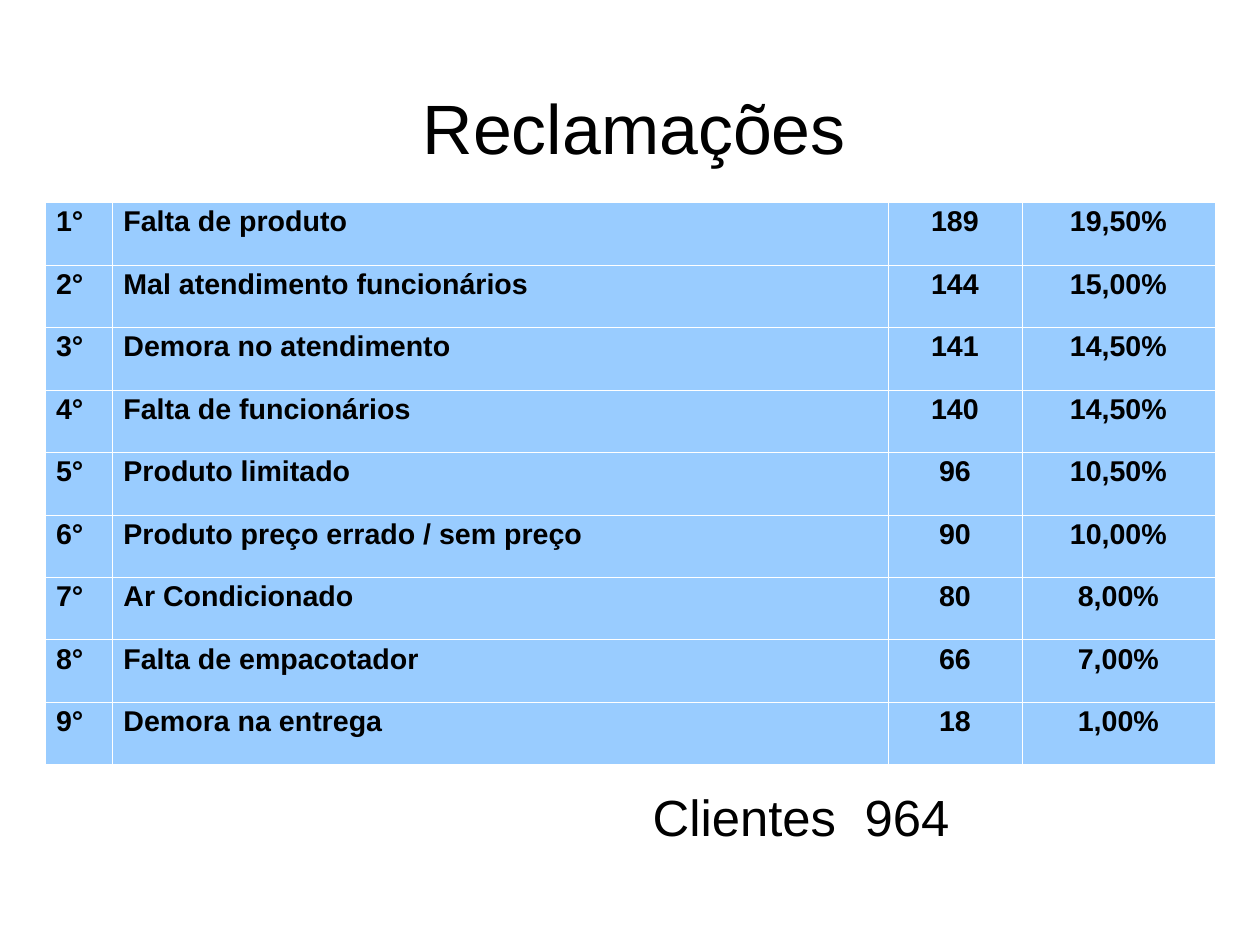
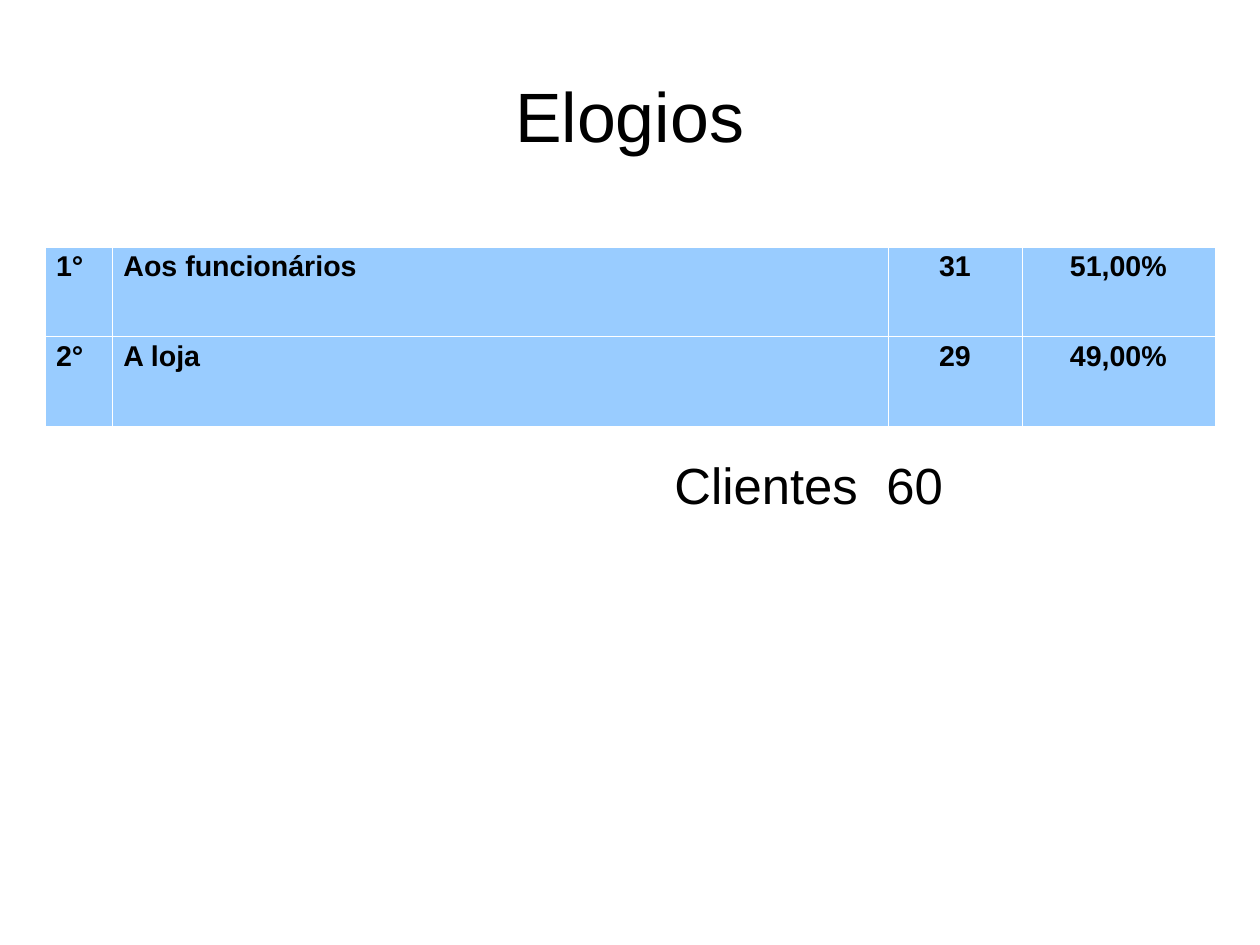
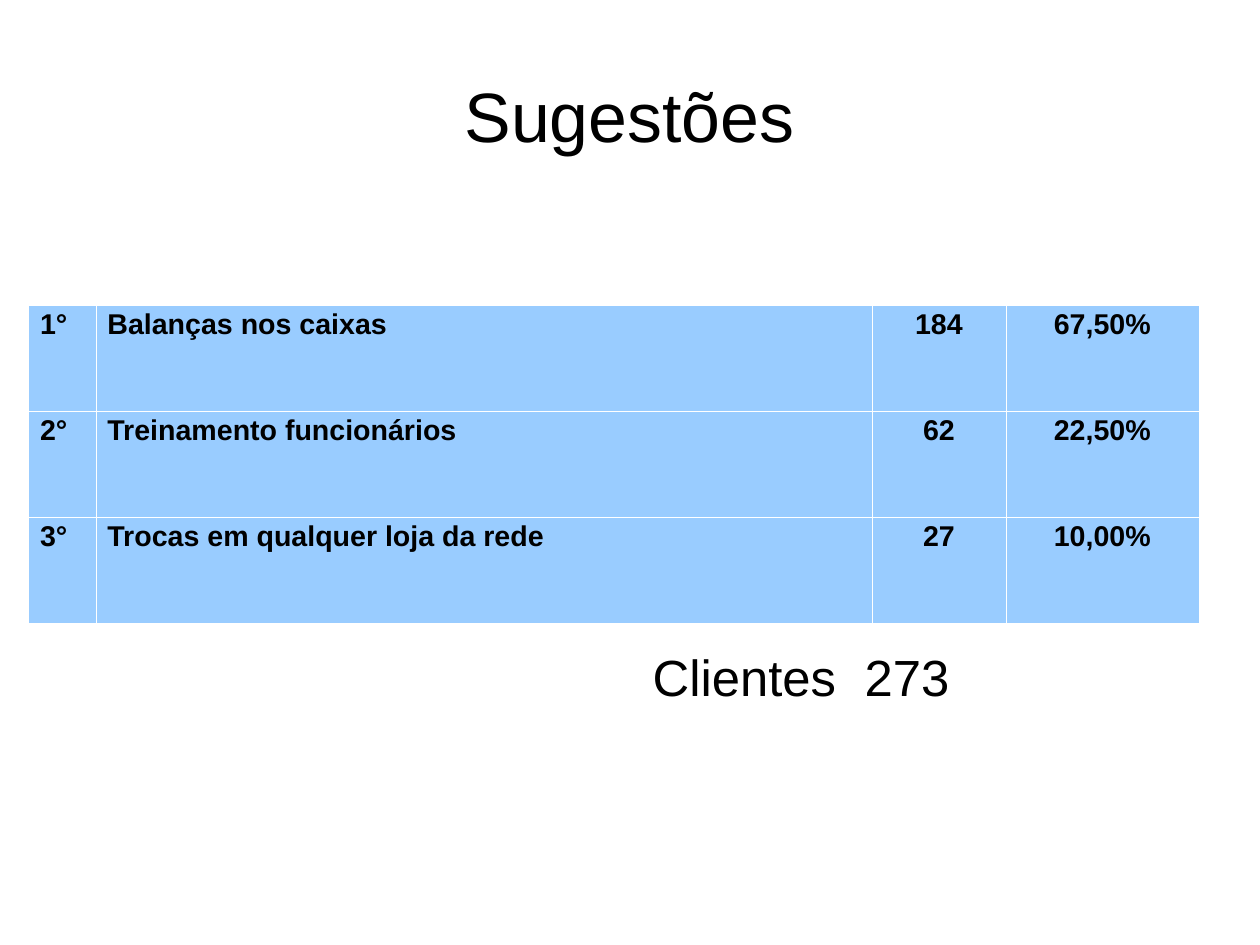
import pptx
import pptx.dml.color
import pptx.enum.text
import pptx.util
from lxml import etree

Inches = pptx.util.Inches
Pt = pptx.util.Pt
Align = pptx.enum.text.PP_ALIGN
Anchor = pptx.enum.text.MSO_ANCHOR

# Shared look
INK, CELL, RULE = "000000", "99CCFF", "FFFFFF"
COLUMNS = [0.59, 6.79, 1.17, 1.69]
ALIGNMENTS = [Align.LEFT, Align.LEFT, Align.CENTER, Align.CENTER]
TITLE_FONT = {"name": "Arial", "size": Pt(44), "bold": False}
CELL_FONT = {"name": "Arial", "size": Pt(18), "bold": True}
TOTAL_FONT = {"name": "Arial", "size": Pt(32), "bold": False}
TITLE_FRAME = {"margin_left": 0, "margin_top": Inches(0.04), "vertical_anchor": Anchor.MIDDLE}
TOTAL_FRAME = {"margin_left": 0, "margin_top": Inches(0.03), "vertical_anchor": Anchor.TOP}
FRAME = {"margin_right": 0, "margin_bottom": 0, "word_wrap": True,
         "auto_size": pptx.enum.text.MSO_AUTO_SIZE.NONE}
NS = "http://schemas.openxmlformats.org/drawingml/2006/main"

# Places are left, top, width, height in inches
SLIDES = [
    {"title": "Reclamações", "title_at": (0.59, 0.49, 9.92, 1.28),
     "table_at": (0.39, 1.77, 10.24, 4.92),
     "rows": [("Falta de produto", "189", "19,50%"),
              ("Mal atendimento funcionários", "144", "15,00%"),
              ("Demora no atendimento", "141", "14,50%"),
              ("Falta de funcionários", "140", "14,50%"),
              ("Produto limitado", "96", "10,50%"),
              ("Produto preço errado / sem preço", "90", "10,00%"),
              ("Ar Condicionado", "80", "8,00%"),
              ("Falta de empacotador", "66", "7,00%"),
              ("Demora na entrega", "18", "1,00%")],
     "total": "964", "total_at": (5.12, 6.89, 3.54, 1.09), "total_spacing": 0.93},
    {"title": "Elogios", "title_at": (0.55, 0.38, 9.92, 1.28),
     "table_at": (0.39, 2.16, 10.24, 1.57),
     "rows": [("Aos funcionários", "31", "51,00%"),
              ("A loja", "29", "49,00%")],
     "total": "60", "total_at": (5.31, 4.03, 3.54, 0.5), "total_spacing": 0.83},
    {"title": "Sugestões", "title_at": (0.55, 0.33, 9.92, 1.38),
     "table_at": (0.25, 2.67, 10.24, 2.78),
     "rows": [("Balanças nos caixas", "184", "67,50%"),
              ("Treinamento funcionários", "62", "22,50%"),
              ("Trocas em qualquer loja da rede", "27", "10,00%")],
     "total": "273", "total_at": (5.12, 5.71, 3.54, 0.5), "total_spacing": 0.83},
]


def color(value):
    return pptx.dml.color.RGBColor.from_string(value)


def write(para, texts, font, **layout):
    for name, value in layout.items():
        setattr(para, name, value)
    for text in texts:
        span = para.add_run()
        span.text = text
        for name, value in font.items():
            setattr(span.font, name, value)
        span.font.color.rgb = color(INK)


# The page is 28 by 21 centimetres, a custom size
deck = pptx.Presentation()
deck.slide_width, deck.slide_height = Inches(28 / 2.54), Inches(21 / 2.54)
deck.element.sldSz.attrib.pop("type", None)

for content in SLIDES:
    page = deck.slides.add_slide(deck.slide_layouts[1])
    title, total = page.placeholders

    # Placeholder places and frames
    for box, place, frame in [(title, content["title_at"], TITLE_FRAME),
                              (total, content["total_at"], TOTAL_FRAME)]:
        box.left, box.top, box.width, box.height = map(Inches, place)
        for name, value in {**FRAME, **frame}.items():
            setattr(box.text_frame, name, value)

    # Title
    write(title.text_frame.paragraphs[0], [content["title"]], TITLE_FONT,
          alignment=Align.CENTER, line_spacing=0.93)

    # Ranking table
    table = page.shapes.add_table(len(content["rows"]), len(COLUMNS),
                                  *map(Inches, content["table_at"])).table
    table.first_row = table.horz_banding = False
    for column, width in zip(table.columns, COLUMNS):
        column.width = Inches(width)
    for row, values in enumerate(content["rows"]):
        for column, text in enumerate((f"{row + 1}°", *values)):
            cell = table.cell(row, column)
            properties = cell._tc.get_or_add_tcPr()
            for side in ("lnL", "lnR", "lnT", "lnB"):
                line = etree.SubElement(properties, f"{{{NS}}}{side}", w=str(Pt(0.06)))
                fill = etree.SubElement(line, f"{{{NS}}}solidFill")
                etree.SubElement(fill, f"{{{NS}}}srgbClr", val=RULE)
            cell.fill.solid()
            cell.fill.fore_color.rgb = color(CELL)
            write(cell.text_frame.paragraphs[0], [text], CELL_FONT,
                  alignment=ALIGNMENTS[column], line_spacing=0.93)

    # Customer total, with a widened space before the number
    para = total.text_frame.paragraphs[0]
    indents = para._p.get_or_add_pPr()
    indents.set("marL", str(Inches(0.94)))
    indents.set("indent", str(Inches(-0.35)))
    etree.SubElement(indents, f"{{{NS}}}buNone")
    write(para, ["Clientes", " ", content["total"]], TOTAL_FONT, level=1,
          alignment=Align.LEFT, line_spacing=content["total_spacing"],
          space_before=Pt(0), space_after=Pt(11.4))
    para.runs[1].font._element.set("spc", "890")

deck.save("out.pptx")
